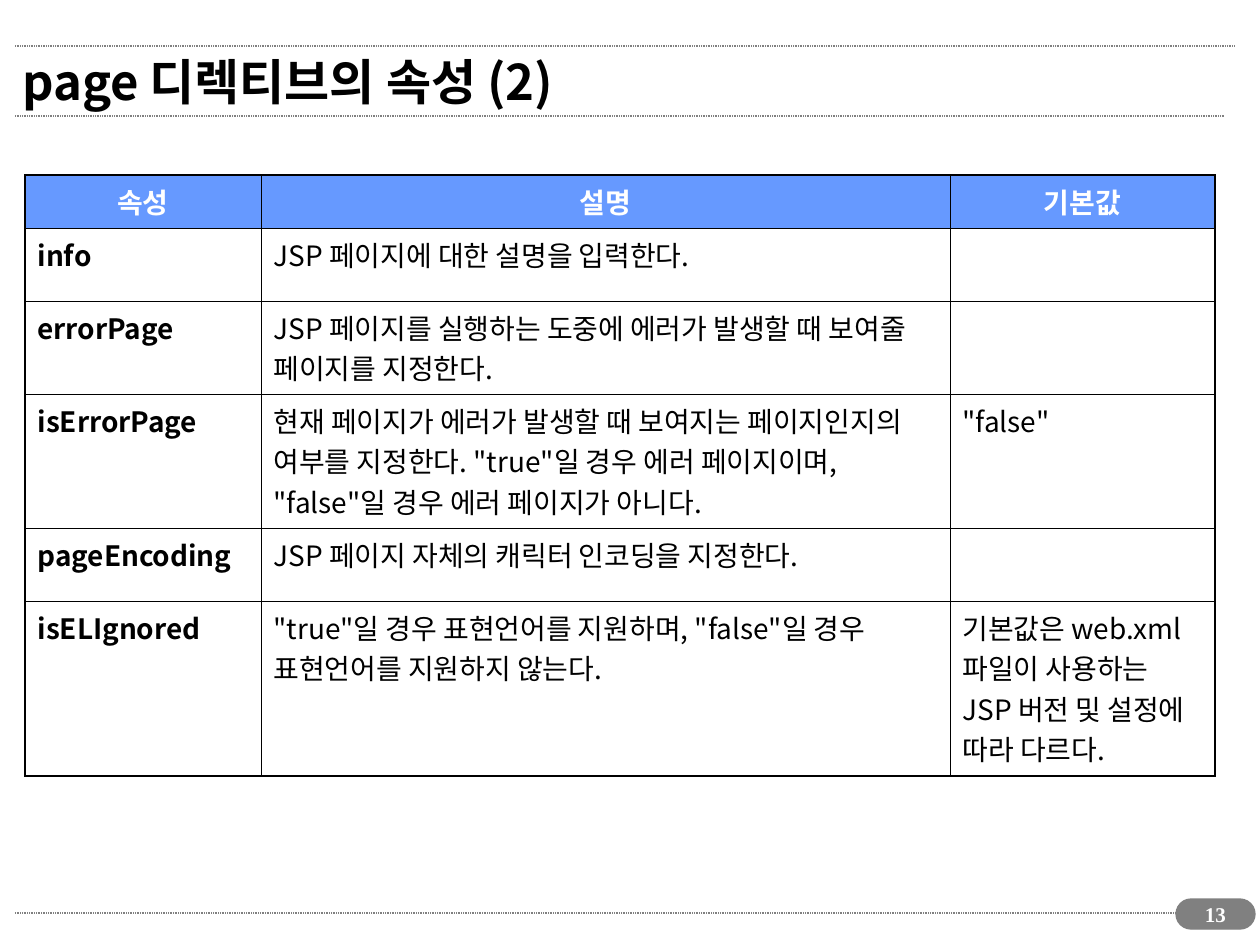
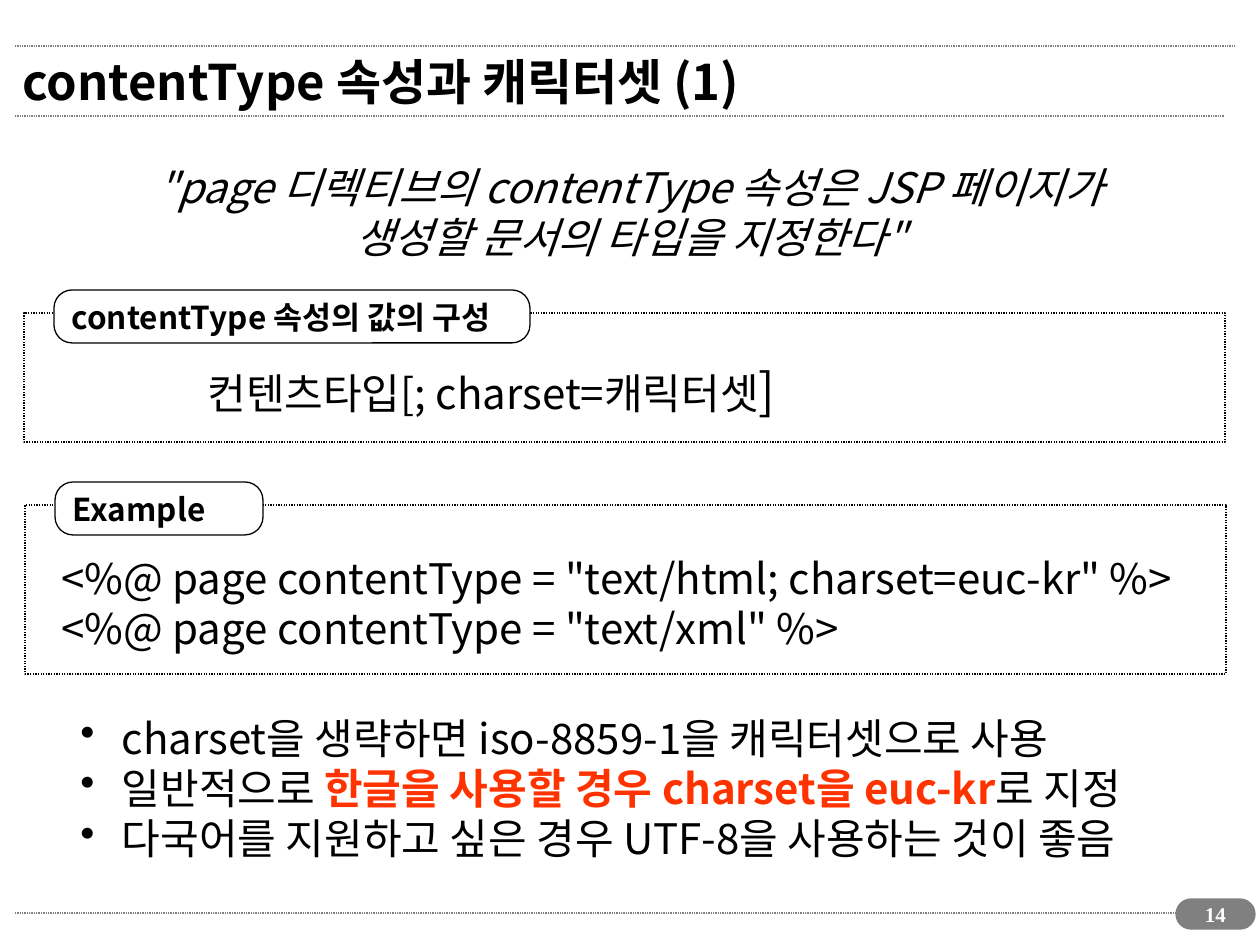
from dataclasses import dataclass, field

from lxml import etree
from pptx import Presentation
from pptx import util as u
from pptx.dml.color import RGBColor
from pptx.enum import shapes, text
from pptx.oxml.ns import qn

EMU_PER_PX = 914400 / 126
COLORS = {
    "ink": "000000",
    "paper": "FFFFFF",
    "rule": "808080",
    "header": "6699FF",
    "warning": "FF3300",
}
KOREAN, NUMERAL = "Noto Sans CJK KR", "Times New Roman"
LEFT, CENTER = text.PP_ALIGN.LEFT, text.PP_ALIGN.CENTER
TOP, MIDDLE = text.MSO_ANCHOR.TOP, text.MSO_ANCHOR.MIDDLE
OUTER_BORDER, INNER_BORDER = 1.08, 0.45
BULLET_INDENT = 32


@dataclass
class Box:
    left: int
    top: int
    width: int
    height: int

    def emu(self) -> tuple:
        return px(self.left), px(self.top), px(self.width), px(self.height)


@dataclass
class Span:
    words: str
    font: dict = field(default_factory=dict)


@dataclass
class Style:
    size: int
    color: str = "ink"
    face: str = KOREAN
    font: dict = field(default_factory=dict)
    align: int = LEFT
    anchor: int = TOP
    bullet: bool = False


@dataclass
class Panel:
    """A dotted frame with a rounded label on its top edge and text inside."""
    frame: Box
    label: str
    label_box: Box
    body_box: Box
    body: list


TITLE = Style(28, font={"bold": True}, anchor=MIDDLE)
PAGE_NUMBER = Style(12, "paper", NUMERAL, {"bold": True}, CENTER)
LABEL = Style(18, font={"bold": True}, anchor=MIDDLE)
BODY = Style(24)
QUOTE = Style(24, font={"italic": True}, align=CENTER)
BULLETS = Style(24, bullet=True)
HEAD_CELL = Style(16, "paper", font={"bold": True}, align=CENTER)
NAME_CELL = Style(16, font={"bold": True})
TEXT_CELL = Style(16)

RULES = [(15, 1226, 913), (15, 1225, 116), (15, 1235, 46)]
PAGE_PILL = Box(1176, 899, 79, 30)
PAGE_NUMBER_BOX = Box(1181, 895, 69, 43)
TITLE_BOX = Box(10, 36, 1147, 89)

ATTRIBUTE_TABLE = Box(25, 175, 1190, 601)
COLUMN_WIDTHS = [236, 689, 265]
ROW_HEIGHTS = [53, 73, 93, 134, 73, 175]
ATTRIBUTES = [
    ("속성", "설명", "기본값"),
    ("info", "JSP 페이지에 대한 설명을 입력한다.", ""),
    ("errorPage",
     "JSP 페이지를 실행하는 도중에 에러가 발생할 때 보여줄 페이지를 지정한다.", ""),
    ("isErrorPage",
     "현재 페이지가 에러가 발생할 때 보여지는 페이지인지의 여부를 지정한다. "
     '"true"일 경우 에러 페이지이며, "false"일 경우 에러 페이지가 아니다.',
     '"false"'),
    ("pageEncoding", "JSP 페이지 자체의 캐릭터 인코딩을 지정한다.", ""),
    ("isELIgnored",
     '"true"일 경우 표현언어를 지원하며, "false"일 경우 표현언어를 지원하지 않는다.',
     "기본값은 web.xml 파일이 사용하는 JSP 버전 및 설정에 따라 다르다."),
]

PANELS = [
    Panel(Box(24, 313, 1201, 129), "contentType 속성의 값의 구성",
          Box(54, 290, 476, 53), Box(195, 354, 625, 72),
          [[Span("컨텐츠타입[; charset=캐릭터셋"), Span("]", {"size": u.Pt(28)})]]),
    Panel(Box(25, 505, 1201, 169), "Example",
          Box(55, 482, 208, 53), Box(49, 546, 1137, 113),
          [[Span('<%@ page contentType = "text/html; charset=euc-kr" %>')],
           [Span('<%@ page contentType = "text/xml" %>')]]),
]
SUMMARY = [
    [Span('"page 디렉티브의 contentType 속성은 JSP 페이지가')],
    [Span('생성할 문서의 타입을 지정한다"')],
]
CHARSET_NOTES = [
    [Span(" charset을 생략하면 iso-8859-1을 캐릭터셋으로 사용")],
    [Span(" 일반적으로 "),
     Span("한글을 사용할 경우 charset을 euc-kr", {"bold": True, "color": "warning"}),
     Span("로 지정")],
    [Span(" 다국어를 지원하고 싶은 경우 UTF-8을 사용하는 것이 좋음")],
]


def px(length: int) -> int:
    return round(length * EMU_PER_PX)


def rgb(name: str) -> RGBColor:
    return RGBColor.from_string(COLORS[name])


def add_bullet(paragraph) -> None:
    properties = paragraph._p.get_or_add_pPr()
    properties.set("marL", str(px(BULLET_INDENT)))
    properties.set("indent", str(-px(BULLET_INDENT)))
    etree.SubElement(properties, qn("a:buChar")).set("char", "•")


def add_span(paragraph, span: Span, style: Style) -> None:
    run = paragraph.add_run()
    run.text = span.words
    values = {"size": u.Pt(style.size), "name": style.face, "bold": False,
              "color": style.color, **style.font, **span.font}
    run.font.color.rgb = rgb(values.pop("color"))
    for attribute, value in values.items():
        setattr(run.font, attribute, value)
    etree.SubElement(run._r.get_or_add_rPr(), qn("a:ea")).set("typeface", style.face)


def write(frame, lines: list, style: Style) -> None:
    for number, spans in enumerate(lines):
        paragraph = frame.add_paragraph() if number else frame.paragraphs[0]
        paragraph.alignment = style.align
        if style.bullet:
            add_bullet(paragraph)
        for span in spans:
            add_span(paragraph, span, style)


def write_in_shape(shape, lines: list, style: Style) -> None:
    layout = {"word_wrap": True, "vertical_anchor": style.anchor}
    for attribute, value in layout.items():
        setattr(shape.text_frame, attribute, value)
    write(shape.text_frame, lines, style)


def add_text(slide, box: Box, lines: list, style: Style) -> None:
    write_in_shape(slide.shapes.add_textbox(*box.emu()), lines, style)


def set_line(shape, color: str, weight: float, dotted: bool = False) -> None:
    """Colour the line; dots and gaps are each half as long as the line is wide."""
    shape.line.color.rgb = rgb(color)
    shape.line.width = u.Pt(weight)
    if dotted:
        dashes = etree.SubElement(shape.line._get_or_add_ln(), qn("a:custDash"))
        dot = etree.SubElement(dashes, qn("a:ds"))
        for part in ("d", "sp"):
            dot.set(part, "50000")


def add_outlined(slide, kind, box: Box, line: str, weight: float,
                 fill: str = "", dotted: bool = False):
    shape = slide.shapes.add_shape(kind, *box.emu())
    shape.shadow.inherit = False
    if fill:
        shape.fill.solid()
        shape.fill.fore_color.rgb = rgb(fill)
    else:
        shape.fill.background()
    set_line(shape, line, weight, dotted)
    return shape


def add_rule(slide, start: int, end: int, y: int) -> None:
    rule = slide.shapes.add_connector(
        shapes.MSO_CONNECTOR.STRAIGHT, px(start), px(y), px(end), px(y))
    set_line(rule, "rule", 1, dotted=True)
    etree.SubElement(rule._element.spPr, qn("a:effectLst"))


def add_page(deck, title: str):
    """Add a blank slide with the shared rules, page pill and title."""
    slide = deck.slides.add_slide(deck.slide_layouts[6])
    for rule in RULES:
        add_rule(slide, *rule)
    pill = add_outlined(slide, shapes.MSO_SHAPE.ROUNDED_RECTANGLE, PAGE_PILL,
                        "rule", 0.75, "rule")
    pill.adjustments[0] = 0.5
    add_text(slide, TITLE_BOX, [[Span(title)]], TITLE)
    return slide


def add_page_number(slide, number: int) -> None:
    add_text(slide, PAGE_NUMBER_BOX, [[Span(str(number))]], PAGE_NUMBER)


def set_borders(cell, row: int, column: int) -> None:
    """Draw heavy lines on the table's outside and thin ones within."""
    on_edge = {"L": column == 0, "R": column == len(COLUMN_WIDTHS) - 1,
               "T": row == 0, "B": row == len(ROW_HEIGHTS) - 1}
    properties = cell._tc.get_or_add_tcPr()
    for side, outer in on_edge.items():
        border = etree.SubElement(properties, qn(f"a:ln{side}"))
        border.set("w", str(u.Pt(OUTER_BORDER if outer else INNER_BORDER)))
        fill = etree.SubElement(border, qn("a:solidFill"))
        etree.SubElement(fill, qn("a:srgbClr")).set("val", COLORS["ink"])


def fill_cell(cell, row: int, column: int, words: str) -> None:
    set_borders(cell, row, column)
    if row == 0:
        cell.fill.solid()
        cell.fill.fore_color.rgb = rgb("header")
        style = HEAD_CELL
    else:
        cell.fill.background()
        style = TEXT_CELL if column else NAME_CELL
    if words:
        write(cell.text_frame, [[Span(words)]], style)


def add_attribute_table(slide) -> None:
    table = slide.shapes.add_table(
        len(ROW_HEIGHTS), len(COLUMN_WIDTHS), *ATTRIBUTE_TABLE.emu()).table
    table.first_row = table.horz_banding = False
    for column, width in zip(table.columns, COLUMN_WIDTHS):
        column.width = px(width)
    for row, height in zip(table.rows, ROW_HEIGHTS):
        row.height = px(height)
    for row, entries in enumerate(ATTRIBUTES):
        for column, words in enumerate(entries):
            fill_cell(table.cell(row, column), row, column, words)


def add_panel(slide, panel: Panel) -> None:
    add_outlined(slide, shapes.MSO_SHAPE.RECTANGLE, panel.frame, "ink", 1.5, dotted=True)
    label = add_outlined(slide, shapes.MSO_SHAPE.ROUNDED_RECTANGLE, panel.label_box,
                         "ink", 0.75, "paper")
    label.adjustments[0] = 0.34
    write_in_shape(label, [[Span(panel.label)]], LABEL)
    add_text(slide, panel.body_box, panel.body, BODY)


def main() -> None:
    deck = Presentation()
    deck.slide_width, deck.slide_height = px(1260), px(945)

    attributes = add_page(deck, "page 디렉티브의 속성 (2)")
    add_attribute_table(attributes)
    add_page_number(attributes, 13)

    content_type = add_page(deck, "contentType 속성과 캐릭터셋 (1)")
    add_text(content_type, Box(25, 155, 1211, 113), SUMMARY, QUOTE)
    for panel in PANELS:
        add_panel(content_type, panel)
    add_text(content_type, Box(68, 706, 1098, 164), CHARSET_NOTES, BULLETS)
    add_page_number(content_type, 14)

    deck.save("out.pptx")


if __name__ == "__main__":
    main()
